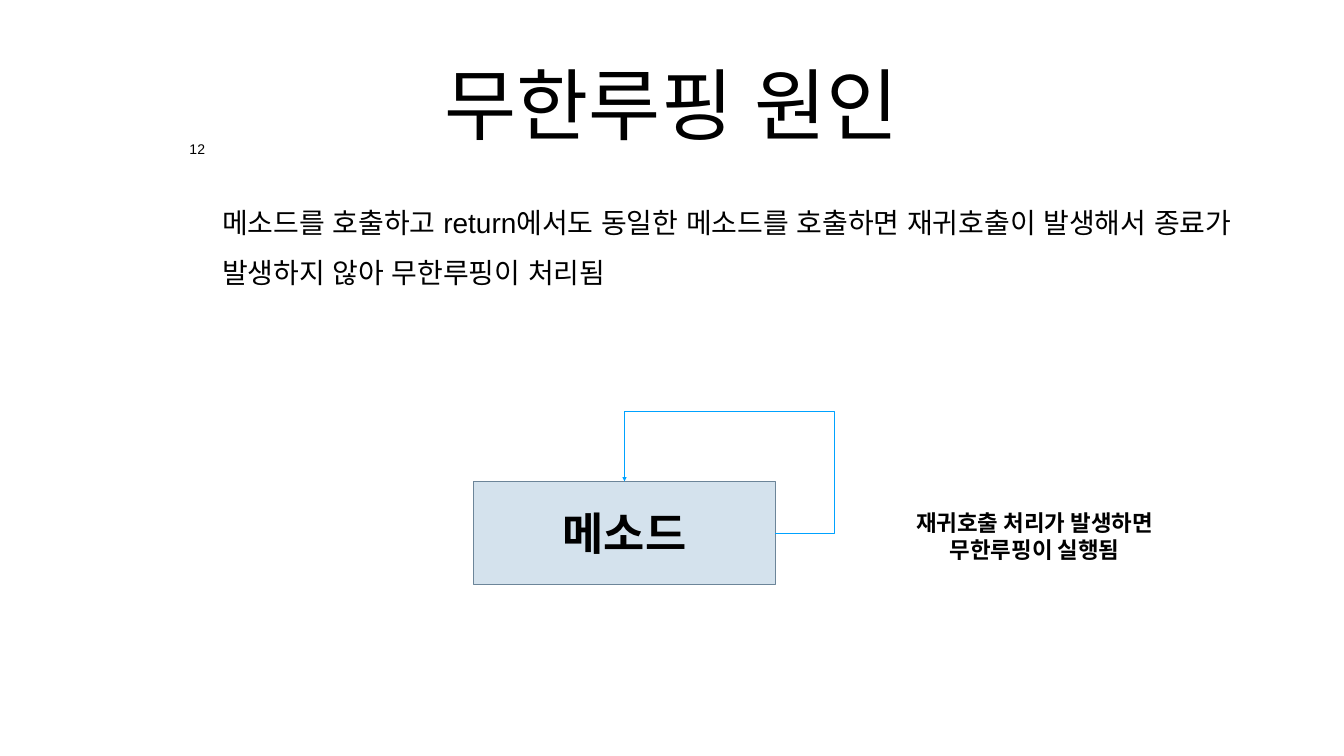
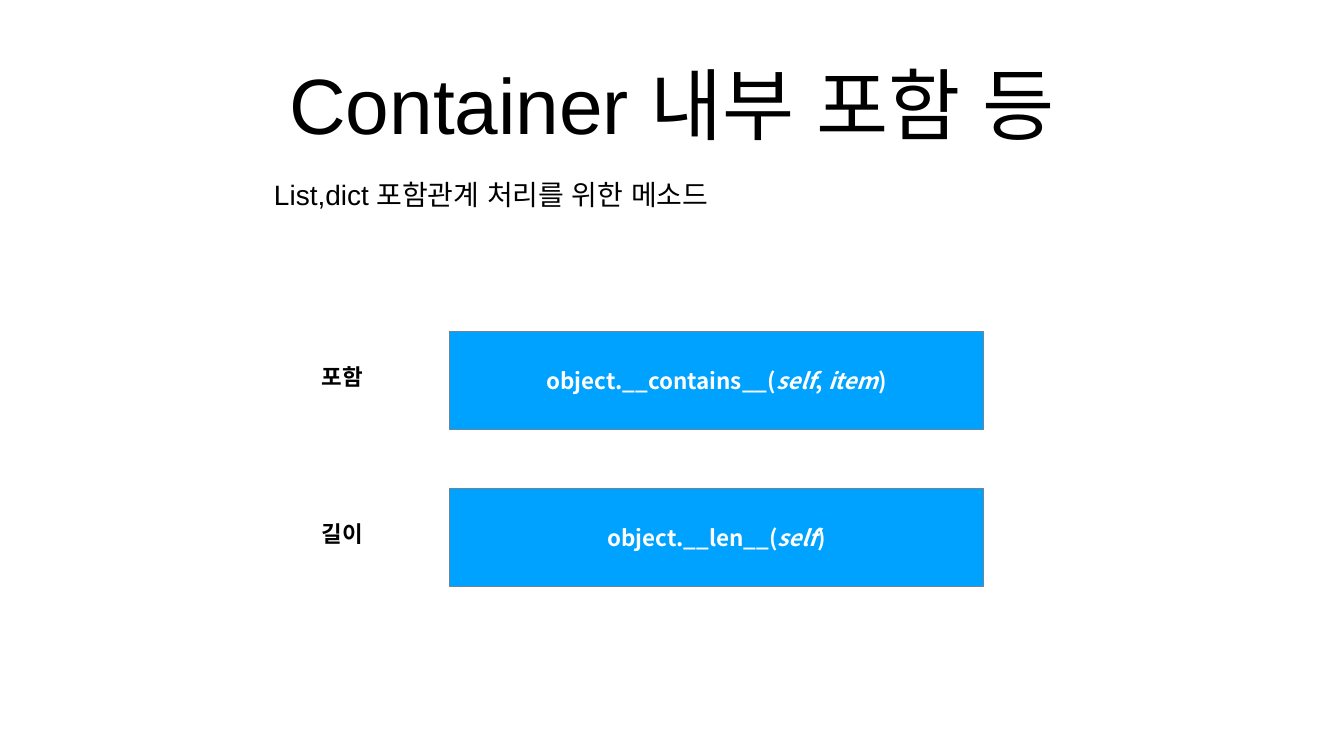
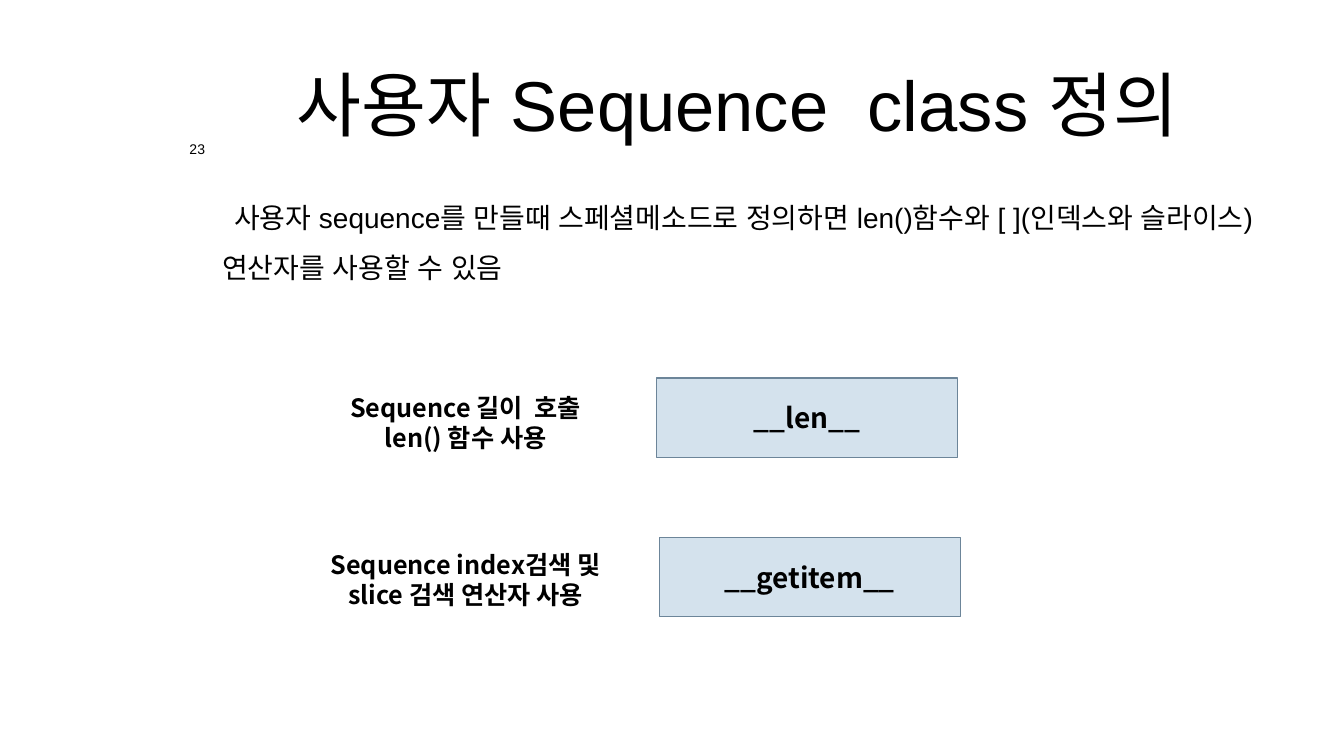
"""Builds three slides on method recursion, containers and custom sequences."""
from lxml import etree
from pptx import Presentation
from pptx.dml.color import RGBColor
from pptx.enum.shapes import MSO_SHAPE
from pptx.enum.text import MSO_ANCHOR, PP_ALIGN
from pptx.oxml.ns import qn
from pptx.util import Cm, Pt

RECT = MSO_SHAPE.RECTANGLE
TOP, MIDDLE = MSO_ANCHOR.TOP, MSO_ANCHOR.MIDDLE
LEFT, CENTER = PP_ALIGN.LEFT, PP_ALIGN.CENTER

BLACK, WHITE = "000000", "FFFFFF"
BLUE, PALE, EDGE = "00A2FF", "D4E2ED", "6C8599"
PLAIN, BOLD = "Arial", "Noto Sans CJK KR"


def rgb(value):
    return RGBColor.from_string(value)


class Deck:
    def __init__(self):
        self.prs = Presentation()
        self.prs.slide_width, self.prs.slide_height = Cm(67.74), Cm(38.1)
        self.s = None

    def slide(self):
        self.s = self.prs.slides.add_slide(self.prs.slide_layouts[6])
        self.s.background.fill.solid()
        self.s.background.fill.fore_color.rgb = rgb(WHITE)

    def fill_text(self, sp, paragraphs, size, font, color=BLACK, align=CENTER,
                  anchor=TOP, inset=(0.25, 0.13), wrap=True):
        tf = sp.text_frame
        tf.word_wrap = wrap
        tf.vertical_anchor = anchor
        tf.margin_left = tf.margin_right = Cm(inset[0])
        tf.margin_top = tf.margin_bottom = Cm(inset[1])
        for i, runs in enumerate(paragraphs):
            p = tf.add_paragraph() if i else tf.paragraphs[0]
            p.alignment = align
            p.font.name, p.font.size = font, Pt(size)
            p.font.bold = font == BOLD
            p.font.color.rgb = rgb(color)
            for text, italic in [(runs, False)] if isinstance(runs, str) else runs:
                r = p.add_run()
                r.text = text
                if italic:
                    r.font.italic = True
            for props in p._p.iter(qn("a:defRPr"), qn("a:rPr")):
                etree.SubElement(props, qn("a:ea")).set("typeface", font)
        return tf.paragraphs[0]

    def text(self, x, y, w, h, paragraphs, size, font, **style):
        sp = self.s.shapes.add_textbox(Cm(x), Cm(y), Cm(w), Cm(h))
        return self.fill_text(sp, paragraphs, size, font, **style)

    def title(self, text, size=112, w=43.36):
        self.text(12.19, 0.99, w, 8.43, [text], size, PLAIN,
                  anchor=MIDDLE, inset=(0.2, 0.2))

    def body(self, x, y, w, h, text, spacing=1.5, before=12, margin=0, indent=0):
        p = self.text(x, y, w, h, [text], 40, PLAIN, align=LEFT, inset=(0.2, 0.2))
        p.line_spacing, p.space_before = spacing, Pt(before)
        pPr = p._p.get_or_add_pPr()
        pPr.set("marL", str(Cm(margin)))
        pPr.set("indent", str(Cm(indent)))

    def number(self, text):
        p = self.text(9.35, 7.06, 1.19, 1.09, [text], 20, PLAIN,
                      inset=(0.2, 0.2), wrap=False)
        p.line_spacing = 0.8

    def label(self, x, y, w, h, *paragraphs, size=32, wrap=True):
        self.text(x, y, w, h, paragraphs, size, BOLD, wrap=wrap)

    def box(self, x, y, w, h, runs, size, fill=PALE, color=BLACK):
        sp = self.s.shapes.add_shape(RECT, Cm(x), Cm(y), Cm(w), Cm(h))
        sp.shadow.inherit = False
        sp.fill.solid()
        sp.fill.fore_color.rgb = rgb(fill)
        sp.line.color.rgb = rgb(EDGE)
        sp.line.width = Pt(1.5)
        self.fill_text(sp, [runs], size, BOLD, color, anchor=MIDDLE, inset=(0.25, 0.25))

    def arrow(self, *points):
        start, *rest = [(Cm(x), Cm(y)) for x, y in points]
        builder = self.s.shapes.build_freeform(*start)
        builder.add_line_segments(rest, close=False)
        sp = builder.convert_to_shape()
        sp.shadow.inherit = False
        sp.fill.background()
        sp.line.color.rgb = rgb(BLUE)
        sp.line.width = Pt(0.79)
        ln = sp.line._get_or_add_ln()
        etree.SubElement(ln, qn("a:tailEnd")).set("type", "triangle")


deck = Deck()

deck.slide()
deck.title("무한루핑 원인")
deck.body(11, 9.3, 53.09, 8.15,
          "메소드를 호출하고 return에서도 동일한 메소드를 호출하면 "
          "재귀호출이 발생해서 종료가 발생하지 않아 무한루핑이 처리됨")
x, y, w, h = 23.88, 24.26, 15.19, 5.21
deck.box(x, y, w, h, "메소드", 64)
side, above, middle = x + w + 2.97, y - 3.51, y + h / 2
deck.arrow((x + w, middle), (side, middle), (side, above),
           (x + w / 2, above), (x + w / 2, y))
deck.label(43.87, 25.55, 16.56, 3, "재귀호출 처리가 발생하면 무한루핑이 실행됨")
deck.number("12")

deck.slide()
deck.title("Container 내부 포함 등")
deck.body(11.07, 8.76, 45.72, 5.08, "List,dict 포함관계 처리를 위한 메소드",
          spacing=1.0, before=10, margin=2.54)
methods = [
    ("포함", [("object.__contains__(", False), ("self", True), (",\u00a0", False),
            ("item", True), (")", False)]),
    ("길이", [("object.__len__(", False), ("self", True), (")", False)]),
]
for i, (name, call) in enumerate(methods):
    y = 16.71 + 7.93 * i
    deck.box(22.66, y, 26.92, 4.93, call, 32, BLUE, WHITE)
    deck.label(15.85, y + 1.45, 2.79, 1.63, name, wrap=False)

deck.slide()
deck.title("사용자 Sequence  class 정의", 100.8, 49.94)
deck.body(11, 9.04, 54.18, 8.41,
          "사용자 sequence를 만들때 스페셜메소드로 정의하면 len()함수와 "
          "[ ](인덱스와 슬라이스)연산자를 사용할 수 있음", indent=0.6)
deck.box(33.07, 19.05, 15.19, 3.99, "__len__", 40)
deck.box(33.22, 27.1, 15.19, 3.99, "__getitem__", 40)
deck.label(16.26, 19.63, 14.4, 3.33, "Sequence 길이  호출", "len() 함수 사용", size=36)
deck.label(16.26, 27.53, 14.4, 3.33, "Sequence index검색 및 slice 검색 연산자 사용", size=36)
deck.number("23")

deck.prs.save("out.pptx")
